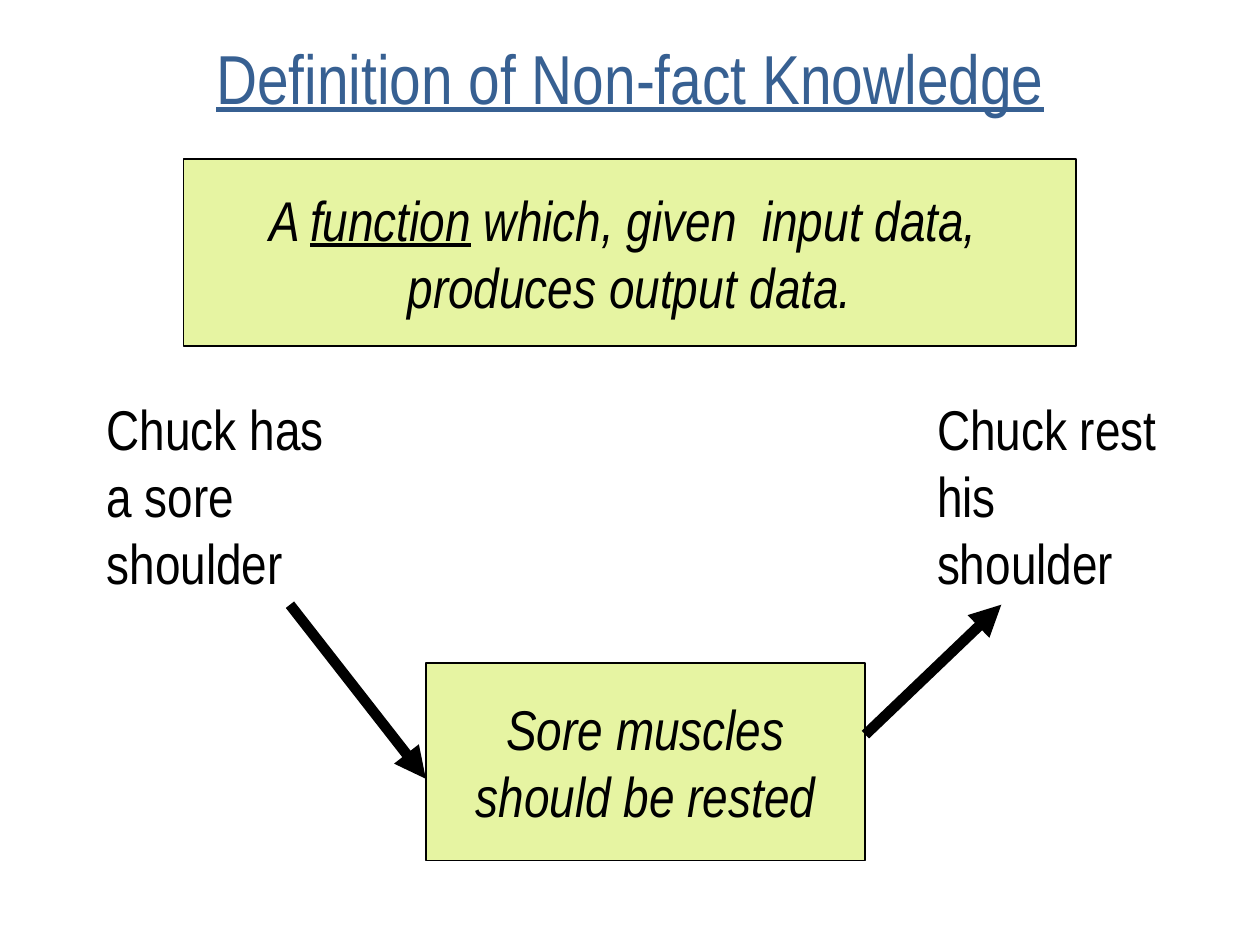
from lxml import etree
from pptx import Presentation, util as u
from pptx.dml.color import RGBColor
from pptx.enum import shapes, text
from pptx.oxml.ns import qn

COLORS = {"title": "376092", "ink": "000000", "panel": "E6F4A2"}
FONT = "Arial Narrow"
CENTER, LEFT = text.PP_ALIGN.CENTER, text.PP_ALIGN.LEFT


def write(frame, lines, size=32, color="ink", italic=False, align=LEFT,
          anchor=text.MSO_ANCHOR.TOP, wrap=True, fit=text.MSO_AUTO_SIZE.NONE):
    """Fill a frame with lines; each line is a list of (words, underlined) runs."""
    frame.auto_size, frame.word_wrap, frame.vertical_anchor = fit, wrap, anchor
    for index, line in enumerate(lines):
        paragraph = frame.paragraphs[0] if index == 0 else frame.add_paragraph()
        paragraph.alignment = align
        for words, underlined in line:
            run = paragraph.add_run()
            run.text = words
            font = run.font
            font.name, font.size = FONT, u.Pt(size)
            font.italic, font.underline = italic, underlined
            font.color.rgb = RGBColor.from_string(COLORS[color])


def add_heading(slide, box, heading):
    """Place the underlined slide title in the box."""
    title = slide.shapes.title
    title.left, title.top, title.width, title.height = map(u.Cm, box)
    write(title.text_frame, [[(heading, True)]], size=39.6, color="title",
          align=CENTER, anchor=text.MSO_ANCHOR.MIDDLE)


def add_panel(slide, box, lines):
    """Draw a filled panel with centred italic lines."""
    panel = slide.shapes.add_shape(shapes.MSO_SHAPE.RECTANGLE, *map(u.Cm, box))
    panel.shadow.inherit = False
    panel.fill.solid()
    panel.fill.fore_color.rgb = RGBColor.from_string(COLORS["panel"])
    panel.line.color.rgb = RGBColor.from_string(COLORS["ink"])
    panel.line.width = u.Pt(1)
    write(panel.text_frame, lines, italic=True, align=CENTER,
          anchor=text.MSO_ANCHOR.MIDDLE, wrap=False)


def add_fact(slide, box, fact):
    """Place a wrapped statement in the box."""
    statement = slide.shapes.add_textbox(*map(u.Cm, box))
    write(statement.text_frame, [[(fact, False)]],
          fit=text.MSO_AUTO_SIZE.SHAPE_TO_FIT_TEXT)


def add_arrow(slide, start, end):
    """Draw a thick arrow from start to end."""
    arrow = slide.shapes.add_connector(
        shapes.MSO_CONNECTOR.STRAIGHT, *map(u.Cm, start + end))
    arrow.line.color.rgb = RGBColor.from_string(COLORS["ink"])
    arrow.line.width = u.Pt(6)
    etree.SubElement(arrow.line._get_or_add_ln(), qn("a:tailEnd"), type="triangle")
    etree.SubElement(arrow._element.spPr, qn("a:effectLst"))


def add_inference(slide, box, given, rule, result):
    """Show input and output facts at the top corners and the rule between them below."""
    left, top, width, height = box
    right, bottom = left + width, top + height
    fact_width, fact_height = 5.49, 4.34
    rule_width, rule_height = 8.86, 3.99
    rule_left = left + (width - rule_width) / 2
    rule_right = rule_left + rule_width
    rule_top = bottom - rule_height
    arrow_run, fact_bottom = 2.74, top + fact_height + 0.03

    add_panel(slide, (rule_left, rule_top, rule_width, rule_height), rule)
    add_fact(slide, (left, top, fact_width, fact_height), given)
    add_fact(slide, (right - fact_width, top, fact_width, fact_height), result)
    add_arrow(slide, (rule_left - arrow_run, fact_bottom), (rule_left, rule_top + 2.34))
    add_arrow(slide, (rule_right, rule_top + 1.45), (rule_right + arrow_run, fact_bottom))


deck = Presentation()
deck.slide_width, deck.slide_height = u.Cm(25.4), u.Cm(19.05)
slide = deck.slides.add_slide(deck.slide_layouts[5])

add_heading(slide, (1.27, 0.76, 22.86, 1.57), "Definition of Non-fact Knowledge")
add_panel(slide, (3.7, 3.2, 18, 3.78), [
    [("A ", False), ("function", True), (" which, given  input data, ", False)],
    [("produces output data.", False)],
])
add_inference(
    slide, (1.9, 7.82, 22.23, 9.53),
    given="Chuck has  a sore shoulder",
    rule=[[("Sore muscles", False)], [("should be rested", False)]],
    result="Chuck rest his shoulder",
)

deck.save("out.pptx")
